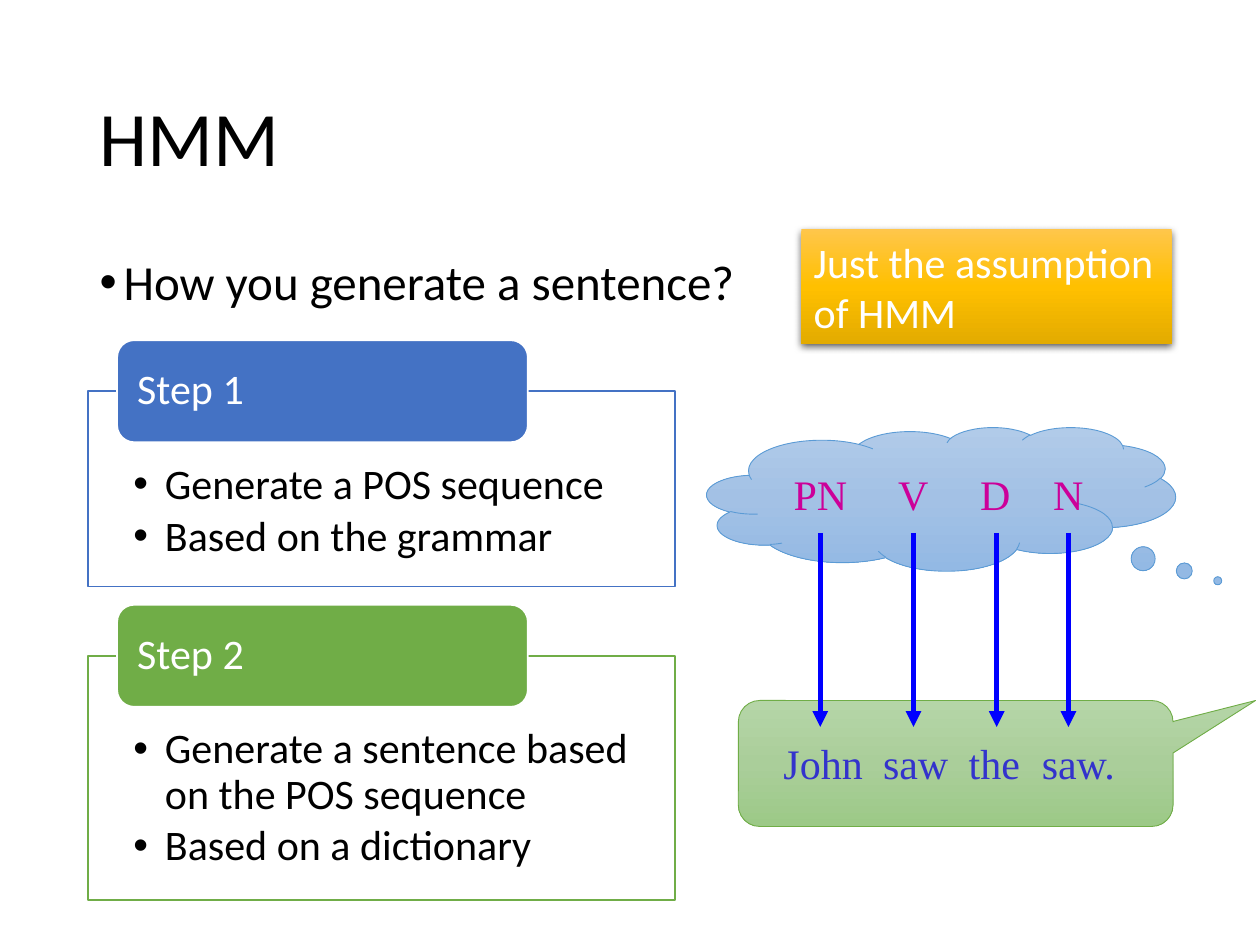
from lxml.etree import SubElement
from pptx import Presentation
from pptx.dml.color import RGBColor
from pptx.enum.shapes import MSO_CONNECTOR as Connector, MSO_SHAPE as Shape
from pptx.enum.text import MSO_ANCHOR as Anchor, PP_ALIGN as Align
from pptx.oxml.ns import qn
from pptx.util import Inches, Pt

COLORS = {
    "black": "000000", "white": "FFFFFF", "step 1": "4472C4", "step 2": "70AD47",
    "thought line": "5B9BD5", "speech line": "70AD47", "arrow": "0000FF",
    "tags": "CC0099", "words": "3333CC",
}
GRADIENTS = {
    "thought": ("B1CBE9", "A3C1E5", "93B9E4"),
    "speech": ("B5D5A7", "AACE9A", "9CC987"),
    "assumption": ("FFC64B", "FFC000", "E3AB00"),
}
TITLE = "HMM"
QUESTION = "How you generate a sentence?"
ASSUMPTION = "Just the assumption of HMM"
# heading, header top, frame height, points
STEPS = [
    ("Step 1", 2.7, 1.55, ["Generate a POS sequence", "Based on the grammar"]),
    ("Step 2", 4.8, 1.94, ["Generate a sentence based on the POS sequence",
                           "Based on a dictionary"]),
]
# text and left edge in inches
TAGS = [("PN", 6.3), ("V", 7.13), ("D", 7.78), ("N", 8.36)]
WORDS = [("John", 6.22), ("saw", 7.01), ("the", 7.69), ("saw.", 8.27)]
ARROW_POSITIONS = [6.51, 7.25, 7.91, 8.48]
ARROW_TOP, ARROW_BOTTOM = 4.23, 5.77
HEADER_HEIGHT = 0.81


def rgb(name):
    return RGBColor.from_string(COLORS[name])


def box(left, top, width, height):
    return [Inches(value) for value in (left, top, width, height)]


def place(shape, *position):
    shape.left, shape.top, shape.width, shape.height = box(*position)


def format_text(paragraph, size, color, name="Calibri", line_spacing=None):
    paragraph.alignment = Align.LEFT
    paragraph.space_before = Pt(0)
    paragraph.line_spacing = line_spacing
    font = paragraph.font
    font.size, font.name = Pt(size), name
    font.color.rgb = rgb(color)


def add_bullet(paragraph, indent):
    properties = paragraph._p.get_or_add_pPr()
    properties.set("marL", str(Inches(indent)))
    properties.set("indent", str(-Inches(indent)))
    SubElement(properties, qn("a:buFont"), typeface="Arial")
    SubElement(properties, qn("a:buChar"), char="•")


def set_insets(frame, left, top, right, bottom):
    frame.margin_left, frame.margin_top = Inches(left), Inches(top)
    frame.margin_right, frame.margin_bottom = Inches(right), Inches(bottom)


def add_shape(slide, kind, position, line=None, width=1):
    shape = slide.shapes.add_shape(kind, *box(*position))
    shape.shadow.inherit = False
    if line:
        shape.line.color.rgb = rgb(line)
        shape.line.width = Pt(width)
    else:
        shape.line.fill.background()
    return shape


def fill_gradient(shape, colors):
    """Fill from top to bottom with evenly spaced colour stops."""
    shape.fill.gradient()
    shape.fill.gradient_angle = 270
    stops = shape._element.spPr.find(".//" + qn("a:gsLst"))
    for stop in list(stops):
        stops.remove(stop)
    for index, color in enumerate(colors):
        position = 100000 * index // (len(colors) - 1)
        stop = SubElement(stops, qn("a:gs"), pos=str(position))
        SubElement(stop, qn("a:srgbClr"), val=color)


def add_shadow(shape):
    effects = shape._element.spPr.find(qn("a:effectLst"))
    shadow = SubElement(effects, qn("a:outerShdw"), blurRad=str(Pt(4.5)),
                        dist=str(Pt(1.5)), dir="5400000", rotWithShape="0")
    color = SubElement(shadow, qn("a:srgbClr"), val=COLORS["black"])
    SubElement(color, qn("a:alpha"), val="63000")


def add_step(slide, heading, top, height, points):
    color = heading.lower()
    frame = add_shape(slide, Shape.RECTANGLE,
                      (0.7, top + HEADER_HEIGHT / 2, 4.66, height), color)
    frame.fill.solid()
    frame.fill.fore_color.rgb = rgb("white")
    text = frame.text_frame
    text.text = "\n".join(points)
    text.word_wrap = True
    text.vertical_anchor = Anchor.TOP
    set_insets(text, 0.36, 0.57, 0.36, 0.19)
    for paragraph in text.paragraphs:
        add_bullet(paragraph, 0.25)
        format_text(paragraph, 24, "black", line_spacing=0.9)
        paragraph.space_after = Pt(3.6)

    header = add_shape(slide, Shape.ROUNDED_RECTANGLE,
                       (0.93, top, 3.26, HEADER_HEIGHT), "white")
    header.fill.solid()
    header.fill.fore_color.rgb = rgb(color)
    header.text_frame.text = heading
    set_insets(header.text_frame, 0.12, 0, 0.12, 0)
    format_text(header.text_frame.paragraphs[0], 24, "white", line_spacing=0.9)


def add_callout(slide, kind, position, adjustments, name):
    callout = add_shape(slide, kind, position, name + " line", 0.5)
    for index, value in enumerate(adjustments):
        callout.adjustments[index] = value
    fill_gradient(callout, GRADIENTS[name])


def add_word_row(slide, words, top, color):
    """Set the words in one line, each at its own tab stop."""
    start = words[0][1]
    text_box = slide.shapes.add_textbox(*box(start - 0.1, top, 2.9, 0.51))
    frame = text_box.text_frame
    frame.word_wrap = True
    paragraph = frame.paragraphs[0]
    paragraph.text = "\t".join(word for word, _ in words)
    tabs = SubElement(paragraph._p.get_or_add_pPr(), qn("a:tabLst"))
    for _, left in words[1:]:
        SubElement(tabs, qn("a:tab"), pos=str(Inches(left - start)), algn="l")
    format_text(paragraph, 24, color, "Times New Roman")


def add_arrow(slide, x):
    arrow = slide.shapes.add_connector(
        Connector.STRAIGHT, Inches(x), Inches(ARROW_TOP), Inches(x), Inches(ARROW_BOTTOM))
    arrow.line.color.rgb = rgb("arrow")
    arrow.line.width = Pt(3)
    SubElement(arrow.line._get_or_add_ln(), qn("a:tailEnd"), type="triangle")
    SubElement(arrow._element.spPr, qn("a:effectLst"))


def main():
    presentation = Presentation()
    presentation.slide_width, presentation.slide_height = Inches(10), Inches(7.5)
    slide = presentation.slides.add_slide(presentation.slide_layouts[1])

    title, body = slide.placeholders
    place(title, 0.69, 0.4, 8.62, 1.45)
    title.text_frame.text = TITLE
    title.text_frame.vertical_anchor = Anchor.MIDDLE
    format_text(title.text_frame.paragraphs[0], 44, "black", line_spacing=0.9)
    place(body, 0.69, 2, 8.62, 4.76)
    body.text_frame.text = QUESTION
    question = body.text_frame.paragraphs[0]
    add_bullet(question, 0.19)
    format_text(question, 28, "black", line_spacing=0.9)

    for step in STEPS:
        add_step(slide, *step)

    assumption = add_shape(slide, Shape.RECTANGLE, (6.36, 1.82, 2.94, 0.91))
    fill_gradient(assumption, GRADIENTS["assumption"])
    add_shadow(assumption)
    assumption.text_frame.text = ASSUMPTION
    assumption.text_frame.word_wrap = True
    format_text(assumption.text_frame.paragraphs[0], 24, "white")

    add_callout(slide, Shape.ROUNDED_RECTANGULAR_CALLOUT, (5.86, 5.56, 3.45, 1),
                (0.69, -0.5, 0.17), "speech")
    add_callout(slide, Shape.CLOUD_CALLOUT, (5.61, 3.39, 3.72, 1.14),
                (0.59, 0.57), "thought")
    add_word_row(slide, WORDS, 5.8, "words")
    add_word_row(slide, TAGS, 3.67, "tags")
    for x in ARROW_POSITIONS:
        add_arrow(slide, x)

    presentation.save("out.pptx")


if __name__ == "__main__":
    main()
